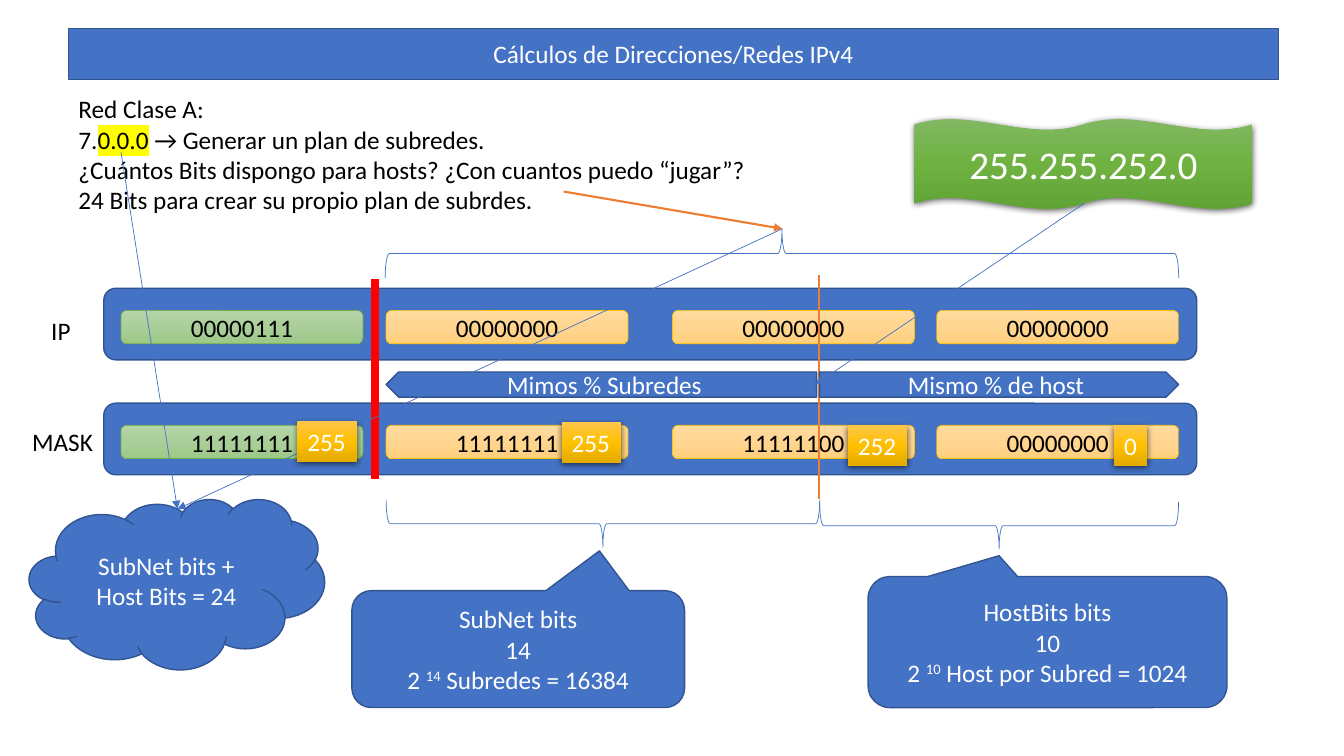
from copy import deepcopy
from dataclasses import dataclass

from lxml.etree import SubElement
from pptx import Presentation
from pptx.dml.color import RGBColor
from pptx.enum.shapes import MSO_CONNECTOR, MSO_SHAPE
from pptx.enum.text import MSO_ANCHOR, MSO_AUTO_SIZE, PP_ALIGN
from pptx.oxml.ns import qn
from pptx.util import Inches, Pt

BLUE = RGBColor(0x44, 0x72, 0xC4)
DARK_BLUE = RGBColor(0x32, 0x54, 0x91)
ORANGE = RGBColor(0xED, 0x7D, 0x31)
GOLD = RGBColor(0xFF, 0xC0, 0x00)
GREEN = RGBColor(0x70, 0xAD, 0x47)
RED = RGBColor(0xFF, 0x00, 0x00)
YELLOW = RGBColor(0xFF, 0xFF, 0x00)
BLACK = RGBColor(0x00, 0x00, 0x00)
WHITE = RGBColor(0xFF, 0xFF, 0xFF)
PALE_GREEN = tuple(map(RGBColor.from_string, ("B5D5A7", "AACE9A", "9CC987")))
PALE_GOLD = tuple(map(RGBColor.from_string, ("FFDB9E", "FFD590", "FFD07C")))
STRONG_GREEN = tuple(map(RGBColor.from_string, ("81B861", "6FB242", "62A336")))
STRONG_GOLD = tuple(map(RGBColor.from_string, ("FFC64B", "FFC000", "E3AB00")))


@dataclass(frozen=True)
class Box:
    left: float
    top: float
    width: float
    height: float

    def lengths(self):
        return [Inches(v) for v in (self.left, self.top, self.width, self.height)]


@dataclass(frozen=True)
class Span:
    text: str
    highlight: bool = False
    raised: bool = False


@dataclass(frozen=True)
class Stroke:
    start: tuple[float, float]
    end: tuple[float, float]
    color: RGBColor
    weight: float
    arrow: bool = False


@dataclass(frozen=True)
class AddressRow:
    label: str
    label_box: Box
    top: float
    octets: tuple[str, ...]


@dataclass(frozen=True)
class Callout:
    box: Box
    tail: tuple[float, float]
    title: str
    bits: str
    result: str


def write(shape, lines: list[list[Span]], color: RGBColor, size: float = 18,
          align=PP_ALIGN.CENTER, anchor=MSO_ANCHOR.MIDDLE, wrap: bool = True) -> None:
    frame = shape.text_frame
    frame.word_wrap = wrap
    frame.auto_size = MSO_AUTO_SIZE.NONE if wrap else MSO_AUTO_SIZE.SHAPE_TO_FIT_TEXT
    frame.vertical_anchor = anchor
    for index, spans in enumerate(lines):
        para = frame.add_paragraph() if index else frame.paragraphs[0]
        para.alignment = align
        for span in spans:
            run = para.add_run()
            run.text = span.text
            run.font.name = "Calibri"
            run.font.size = Pt(size)
            run.font.color.rgb = color
            properties = run.font._element
            if span.raised:
                properties.set("baseline", "30000")
            if span.highlight:
                highlight = SubElement(properties, qn("a:highlight"))
                SubElement(highlight, qn("a:srgbClr"), val=str(YELLOW))
                properties.find(qn("a:solidFill")).addnext(highlight)


def paint(shape, fill: RGBColor | None = BLUE, line: RGBColor | None = DARK_BLUE,
          weight: float = 1) -> None:
    shape.shadow.inherit = False
    if fill is None:
        shape.fill.background()
    else:
        shape.fill.solid()
        shape.fill.fore_color.rgb = fill
    if line is None:
        shape.line.fill.background()
    else:
        shape.line.color.rgb = line
        shape.line.width = Pt(weight)


def shade(shape, colors: tuple[RGBColor, ...]) -> None:
    shape.fill.gradient()
    shape.fill.gradient_angle = 270
    stops = shape._element.spPr.find(qn("a:gradFill")).find(qn("a:gsLst"))
    stops.insert(1, deepcopy(stops[0]))
    for index, (stop, color) in enumerate(zip(shape.fill.gradient_stops, colors)):
        stop.position = index / 2
        stop.color.rgb = color


def cast_shadow(shape) -> None:
    effects = shape._element.spPr.find(qn("a:effectLst"))
    shadow = SubElement(effects, qn("a:outerShdw"), blurRad=str(Pt(4.5)), dist=str(Pt(1.5)),
                        dir="5400000", algn="ctr", rotWithShape="0")
    SubElement(SubElement(shadow, qn("a:srgbClr"), val=str(BLACK)), qn("a:alpha"), val="63000")


def add_figure(page, kind, box: Box, text: str = ""):
    shape = page.shapes.add_shape(kind, *box.lengths())
    paint(shape)
    if text:
        write(shape, [[Span(text)]], WHITE)
    return shape


def add_label(page, box: Box, lines: list[list[Span]]) -> None:
    label = page.shapes.add_textbox(*box.lengths())
    write(label, lines, BLACK, align=PP_ALIGN.LEFT, anchor=MSO_ANCHOR.TOP, wrap=False)


def add_title(page, text: str) -> None:
    title = page.shapes.title
    title.left, title.top, title.width, title.height = Box(0.68, 0.28, 12, 0.51).lengths()
    geometry = SubElement(title._element.spPr, qn("a:prstGeom"), prst="roundRect")
    SubElement(geometry, qn("a:avLst"))
    title.fill.solid()
    title.fill.fore_color.rgb = BLUE
    title.line.color.rgb = DARK_BLUE
    title.line.width = Pt(1)
    write(title, [[Span(text)]], WHITE)


def add_row(page, row: AddressRow) -> None:
    add_figure(page, MSO_SHAPE.ROUNDED_RECTANGLE, Box(1.03, row.top, 10.84, 0.71))
    for index, (left, octet) in enumerate(zip((1.2, 3.83, 6.67, 9.29), row.octets)):
        cell = add_figure(page, MSO_SHAPE.ROUNDED_RECTANGLE, Box(left, row.top + 0.22, 2.4, 0.33))
        paint(cell, line=GOLD if index else GREEN, weight=0.5)
        shade(cell, PALE_GOLD if index else PALE_GREEN)
        write(cell, [[Span(octet)]], BLACK)
    add_label(page, row.label_box, [[Span(row.label)]])


def add_brace(page, area: Box, rotation: int) -> None:
    shift = (area.width - area.height) / 2
    frame = Box(area.left + shift, area.top - shift, area.height, area.width)
    brace = add_figure(page, MSO_SHAPE.LEFT_BRACE, frame)
    brace.rotation = rotation
    paint(brace, None, BLUE, 0.5)


def add_stroke(page, stroke: Stroke) -> None:
    ends = [Inches(v) for v in (*stroke.start, *stroke.end)]
    connector = page.shapes.add_connector(MSO_CONNECTOR.STRAIGHT, *ends)
    connector.line.color.rgb = stroke.color
    connector.line.width = Pt(stroke.weight)
    if stroke.arrow:
        SubElement(connector.line._get_or_add_ln(), qn("a:tailEnd"), type="triangle")
    SubElement(connector._element.spPr, qn("a:effectLst"))


def add_callout(page, callout: Callout) -> None:
    shape = add_figure(page, MSO_SHAPE.ROUNDED_RECTANGULAR_CALLOUT, callout.box)
    shape.adjustments[0], shape.adjustments[1] = callout.tail
    power = [Span("2 "), Span(callout.bits, raised=True), Span(callout.result)]
    write(shape, [[Span(callout.title)], [Span(callout.bits)], power], WHITE)


ROWS = (
    AddressRow("IP", Box(0.41, 3.08, 0.39, 0.4), 2.86,
               ("00000111", "00000000", "00000000", "00000000")),
    AddressRow("MASK", Box(0.22, 4.18, 0.81, 0.4), 4,
               ("11111111", "11111111", "11111100", "00000000")),
)
QUESTION = [
    [Span("Red Clase A:")],
    [Span("7."), Span("0.0.0", highlight=True), Span(" → Generar un plan de subredes.")],
    [Span("¿Cuántos Bits dispongo para hosts? ¿Con cuantos puedo “jugar”?")],
    [Span("24 Bits para crear su propio plan de subrdes.")],
]
BRACES = ((Box(3.82, 2.27, 7.87, 0.49), 90), (Box(3.83, 4.96, 4.3, 0.47), 270),
          (Box(8.13, 4.98, 3.56, 0.47), 270))
DIVIDERS = (
    Stroke((3.72, 2.77), (3.72, 4.75), RED, 5.25),
    Stroke((5.59, 1.9), (7.76, 2.27), ORANGE, 1.5, True),
    Stroke((8.12, 2.73), (8.12, 4.95), ORANGE, 1.5),
)
POINTERS = (
    Stroke((1.2, 1.51), (1.76, 5.05), BLUE, 0.5, True),
    Stroke((7.76, 2.27), (1.76, 5.05), BLUE, 0.5, True),
    Stroke((10.75, 2.02), (8.09, 3.81), BLUE, 0.5, True),
)
CALLOUTS = (
    Callout(Box(3.49, 5.86, 3.3, 1.16), (0.244, -0.84), "SubNet bits", "14", " Subredes = 16384"),
    Callout(Box(8.61, 5.72, 3.56, 1.3), (-0.135, -0.659), "HostBits bits", "10",
            " Host por Subred = 1024"),
)
CHIPS = (("255", Box(2.95, 4.18, 0.59, 0.4)), ("255", Box(5.57, 4.19, 0.59, 0.4)),
         ("252", Box(8.41, 4.22, 0.59, 0.4)), ("0", Box(11.05, 4.22, 0.33, 0.4)))


def main() -> None:
    deck = Presentation()
    deck.slide_width, deck.slide_height = Inches(13.33), Inches(7.5)
    page = deck.slides.add_slide(deck.slide_layouts[5])
    add_title(page, "Cálculos de Direcciones/Redes IPv4")
    add_label(page, Box(0.68, 0.88, 6.89, 1.31), QUESTION)
    for row in ROWS:
        add_row(page, row)
    for area, rotation in BRACES:
        add_brace(page, area, rotation)
    for stroke in DIVIDERS:
        add_stroke(page, stroke)
    for callout in CALLOUTS:
        add_callout(page, callout)
    add_figure(page, MSO_SHAPE.PENTAGON, Box(8.13, 3.69, 3.56, 0.25), "Mismo % de host")
    subnets = add_figure(page, MSO_SHAPE.PENTAGON, Box(3.83, 3.69, 4.27, 0.25), "Mimos % Subredes")
    subnets._element.spPr.find(qn("a:xfrm")).set("flipH", "1")
    add_figure(page, MSO_SHAPE.CLOUD, Box(0.29, 4.95, 2.93, 1.69), "SubNet bits + Host Bits = 24")
    wave = add_figure(page, MSO_SHAPE.DOUBLE_WAVE, Box(9.07, 1.18, 3.35, 0.89))
    paint(wave, line=None)
    shade(wave, STRONG_GREEN)
    cast_shadow(wave)
    write(wave, [[Span("255.255.252.0")]], WHITE, 28)
    for stroke in POINTERS:
        add_stroke(page, stroke)
    for text, box in CHIPS:
        chip = add_figure(page, MSO_SHAPE.RECTANGLE, box)
        paint(chip, line=None)
        shade(chip, STRONG_GOLD)
        cast_shadow(chip)
        write(chip, [[Span(text)]], WHITE, align=PP_ALIGN.LEFT, anchor=MSO_ANCHOR.TOP, wrap=False)
    deck.save("out.pptx")


if __name__ == "__main__":
    main()
